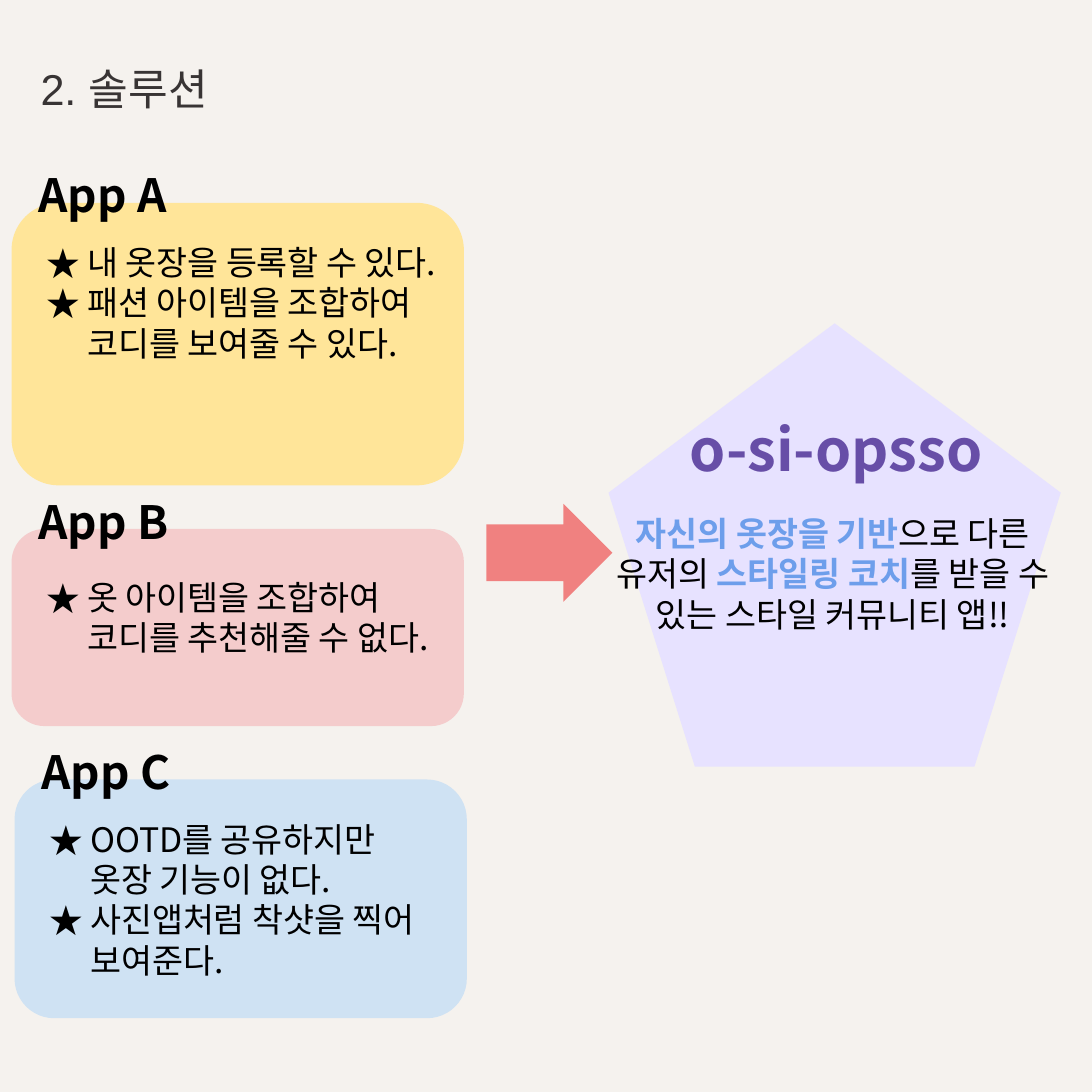
from pptx import Presentation
from pptx.dml.color import RGBColor
from pptx.enum.shapes import MSO_SHAPE as SHAPE
from pptx.enum.text import MSO_ANCHOR as ANCHOR, PP_ALIGN as ALIGN
from pptx.oxml.ns import qn
from pptx.util import Pt
from lxml.etree import SubElement

SANS = "Noto Sans CJK KR"
BLACK, BLUE, PURPLE = "000000", "6D9EEB", "674EA7"
TITLE = [("2. ", 32, "383434", False, "Arial"), ("솔루션", 32, "383434", False, "Cabin")]
CARDS = [
    ("App A", "FFE599", (8.6, 150.5, 209.5), (21.6, 116.6, 172),
     ["내 옷장을 등록할 수 있다.", "패션 아이템을 조합하여 코디를 보여줄 수 있다."]),
    ("App B", "F4CCCC", (8.6, 392.4, 146.2), (21.6, 359.3, 420.5),
     ["옷 아이템을 조합하여 코디를 추천해줄 수 없다."]),
    ("App C", "CFE2F3", (10.8, 578.2, 177.1), (23.8, 544.3, 599.8),
     ["OOTD를 공유하지만 옷장 기능이 없다.", "사진앱처럼 착샷을 찍어 보여준다."]),
]
PITCH = [("자신의 옷장을 기반", BLUE, True), ("으로 다른 유저의 ", BLACK, False),
         ("스타일링 코치", BLUE, True), ("를 받을 수 있는 스타일 커뮤니티 앱!!", BLACK, False)]
CARD_W, BODY_W, NAME_W = 335.5, 310.3, 183.6

prs = Presentation()
prs.slide_width = prs.slide_height = Pt(810)
s = prs.slides.add_slide(prs.slide_layouts[6])


def paint(fill, color):
    fill.solid()
    fill.fore_color.rgb = RGBColor.from_string(color)


def add_block(kind, box, color):
    sp = s.shapes.add_shape(kind, *map(Pt, box))
    sp.shadow.inherit = False
    paint(sp.fill, color)
    sp.line.fill.background()
    return sp


def add_star(p):
    pPr = p._p.get_or_add_pPr()
    pPr.set("marL", str(Pt(36)))
    pPr.set("indent", str(Pt(-30.2)))
    color = SubElement(pPr, qn("a:buClr"))
    SubElement(color, qn("a:srgbClr"), val=BLACK)
    SubElement(pPr, qn("a:buFont"), typeface=SANS)
    SubElement(pPr, qn("a:buChar"), char="★")


def add_text(box, paragraphs, inset=7.2, anchor=ANCHOR.TOP, align=ALIGN.LEFT, star=False):
    tf = s.shapes.add_textbox(*map(Pt, box)).text_frame
    tf.word_wrap = True
    tf.vertical_anchor = anchor
    tf.margin_left = tf.margin_right = Pt(7.2)
    tf.margin_top = tf.margin_bottom = Pt(inset)
    for i, runs in enumerate(paragraphs):
        p = tf.add_paragraph() if i else tf.paragraphs[0]
        p.alignment = align
        if star:
            add_star(p)
        for text, size, color, bold, font in runs:
            r = p.add_run()
            r.text = text
            r.font.size, r.font.bold, r.font.name = Pt(size), bold, font
            paint(r.font.fill, color)
            SubElement(r._r.get_or_add_rPr(), qn("a:ea"), typeface=font)


paint(s.background.fill, "F5F2EE")
add_text((23, 42.5, 547.2, 46.1), [TITLE], inset=3.6, anchor=ANCHOR.MIDDLE)

for name, color, (left, top, height), (text_left, name_top, body_top), points in CARDS:
    add_block(SHAPE.ROUNDED_RECTANGLE, (left, top, CARD_W, height), color)
    body = [[(point, 25, BLACK, False, SANS)] for point in points]
    add_text((text_left, body_top, BODY_W, top + height - body_top - 20), body, star=True)
    add_text((text_left, name_top, NAME_W, 55.4), [[(name, 34, BLACK, True, SANS)]])

arrow = add_block(SHAPE.RIGHT_ARROW, (360.7, 373.7, 93.6, 72.7), "EF5A5A")
arrow.adjustments[0] = 0.58
tint = arrow.fill._xPr.find(qn("a:solidFill"))[0]
SubElement(tint, qn("a:alpha"), val="74000")

add_block(SHAPE.REGULAR_PENTAGON, (451.4, 239.8, CARD_W, 329), "E7E2FF")
pitch = [(text, 25, color, bold, SANS) for text, color, bold in PITCH]
add_text((450, 373, CARD_W, 166.3), [pitch], align=ALIGN.CENTER)
add_text((504.7, 299.5, 258.5, 67), [[("o-si-opsso", 43, PURPLE, True, SANS)]])

prs.save("out.pptx")
